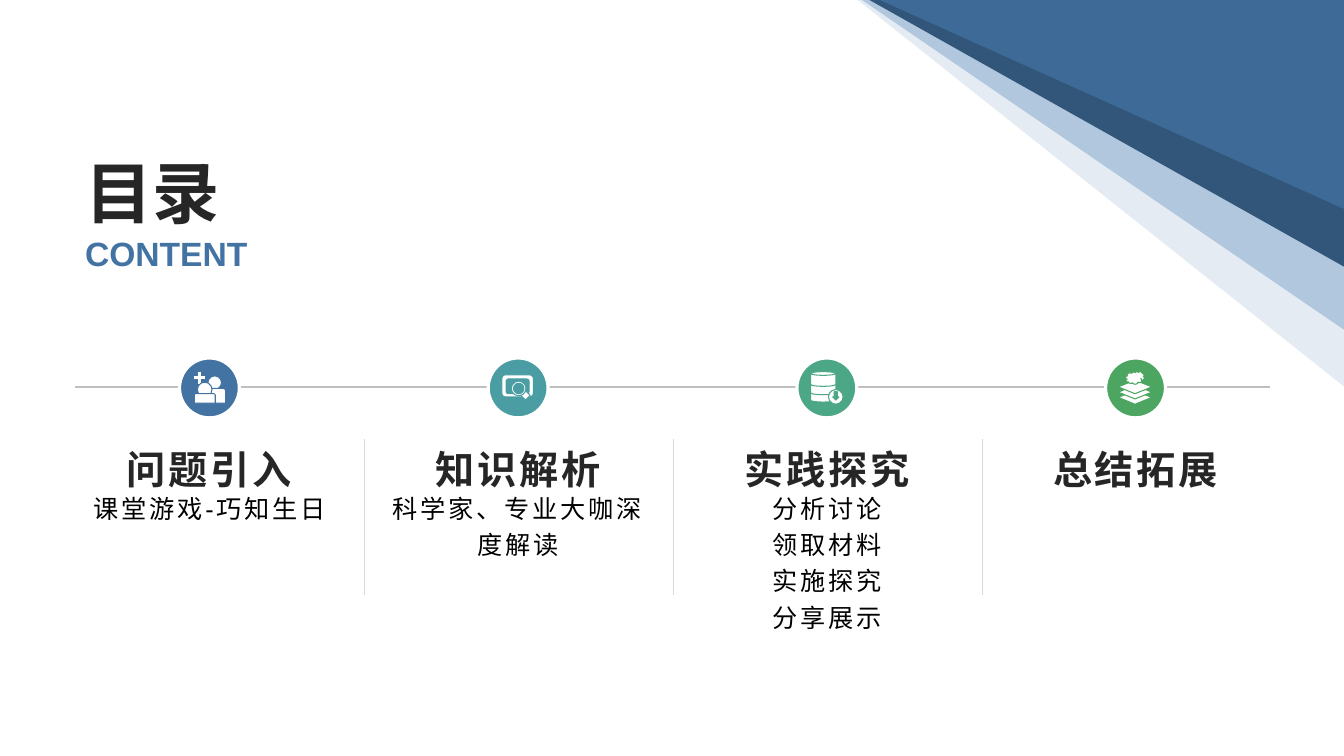
from lxml import etree
from pptx import Presentation
from pptx.dml.color import RGBColor
from pptx.enum.shapes import MSO_CONNECTOR, MSO_SHAPE
from pptx.enum.text import MSO_ANCHOR, MSO_AUTO_SIZE, PP_ALIGN
from pptx.oxml.ns import qn
from pptx.util import Pt

STRAIGHT = MSO_CONNECTOR.STRAIGHT
OVAL, CAN, DIAMOND, CLOUD = MSO_SHAPE.OVAL, MSO_SHAPE.CAN, MSO_SHAPE.DIAMOND, MSO_SHAPE.CLOUD
CROSS, ARROW = MSO_SHAPE.MATH_PLUS, MSO_SHAPE.DOWN_ARROW
BODY, PAGE = MSO_SHAPE.ROUND_2_SAME_RECTANGLE, MSO_SHAPE.ROUNDED_RECTANGLE
TOP, MIDDLE, BOTTOM = MSO_ANCHOR.TOP, MSO_ANCHOR.MIDDLE, MSO_ANCHOR.BOTTOM
LEFT, CENTER = PP_ALIGN.LEFT, PP_ALIGN.CENTER
NO_FIT = MSO_AUTO_SIZE.NONE

PX = 9525
WIDTH, HEIGHT = 1280, 720
PITCH = 294
AXIS_Y = 369
COMPARISON_LAYOUT = 4

COLORS = {
    "white": "FFFFFF", "black": "000000", "ink": "262626",
    "blue": "4373A3", "navy": "32567A", "sky": "B0C7DE",
    "teal": "4B9DA4", "jade": "4BA786", "green": "4CA560",
    "axis": "BFBFBF", "divider": "D9D9D9",
}

# Size, colour, bold, alignment, anchor, line spacing, tracking, top and bottom inset.
STYLES = {
    "title": (48, "ink", True, LEFT, BOTTOM, 1, 0, 5, 0),
    "subtitle": (24, "blue", True, LEFT, TOP, 1, 0, 0, 5),
    "heading": (28, "ink", True, CENTER, MIDDLE, 1.2, 200, 5, 0),
    "detail": (18, "black", False, CENTER, TOP, 1.2, 200, 0, 5),
}

# Preset, px offset from the circle's centre, size, and whether it is white.
ICONS = {
    "people": [
        (CROSS, -17, -17, 16, 16, True),
        (OVAL, -1, -11, 13, 13, True), (BODY, -2, 1, 18, 14, True),
        (OVAL, -11, -5, 14, 14, True), (BODY, -14, 6, 20, 9, True),
    ],
    "book": [
        (PAGE, -15, -12, 30, 21, True), (PAGE, -11, -8, 22, 14, False),
        (DIAMOND, 3, 3, 9, 9, True),
        (OVAL, -6, -6, 14, 14, True), (OVAL, -4, -4, 10, 10, False),
    ],
    "database": [
        *((CAN, -15, y, 24, 14, True) for y in (0, -7, -15)),
        (OVAL, 2, 2, 14, 14, True), (ARROW, 6, 4, 6, 8, False),
    ],
    "books": [
        *((DIAMOND, -16, y, 32, 13, True) for y in (3, -2, -7)),
        (CLOUD, -9, -15, 18, 12, True),
    ],
}

SECTIONS = [
    ("问题引入", ["课堂游戏-巧知生日"], "blue", "people"),
    ("知识解析", ["科学家、专业大咖深度解读"], "teal", "book"),
    ("实践探究", ["分析讨论", "领取材料", "实施探究", "分享展示"], "jade", "database"),
    ("总结拓展", [], "green", "books"),
]

# Left end on the top edge, depth on the right edge, colour, opacity.
CORNER_RAYS = [(817, 368, "sky", 34), (821, 314, "sky", 100),
               (828, 254, "navy", 100), (838, 199, "blue", 71)]


class SlideBuilder:
    def __init__(self, page, font):
        self.page, self.font = page, font

    def color(self, name):
        return RGBColor.from_string(COLORS[name])

    def paint(self, shape, fill):
        shape.shadow.inherit = False
        shape.fill.solid()
        shape.fill.fore_color.rgb = self.color(fill)

    def ray(self, start, depth, fill, opacity):
        """Triangle in the top right corner of the slide."""
        builder = self.page.shapes.build_freeform(start, 0, scale=PX)
        builder.add_line_segments([(WIDTH, 0), (WIDTH, depth)], close=True)
        shape = builder.convert_to_shape()
        self.paint(shape, fill)
        shape.line.fill.background()
        tint = shape.fill._xPr.find(".//" + qn("a:srgbClr"))
        etree.SubElement(tint, qn("a:alpha"), val=str(opacity * 1000))

    def preset(self, kind, area, fill, edge, edge_width):
        shape = self.page.shapes.add_shape(kind, *(value * PX for value in area))
        self.paint(shape, fill)
        shape.line.color.rgb = self.color(edge)
        shape.line.width = Pt(edge_width)

    def icon(self, name, center_x, center_y, color):
        for kind, x, y, width, height, is_white in ICONS[name]:
            self.preset(kind, (center_x + x, center_y + y, width, height),
                        "white" if is_white else color, color, 0.75)

    def line(self, x1, y1, x2, y2, color, width):
        connector = self.page.shapes.add_connector(
            STRAIGHT, x1 * PX, y1 * PX, x2 * PX, y2 * PX)
        connector.line.color.rgb = self.color(color)
        connector.line.width = Pt(width)
        etree.SubElement(connector._element.spPr, qn("a:effectLst"))

    def text(self, lines, area, style, box=None):
        """Write lines in a placeholder, or in a new text box if none is given."""
        size, color, bold, align, anchor, spacing, tracking, above, below = STYLES[style]
        left, top, width, height = (value * PX for value in area)
        if box is None:
            box = self.page.shapes.add_textbox(left, top, width, height)
        box.left, box.top, box.width, box.height = left, top, width, height
        frame = box.text_frame
        layout = dict(word_wrap=True, auto_size=NO_FIT, vertical_anchor=anchor,
                      margin_left=10 * PX, margin_right=10 * PX,
                      margin_top=above * PX, margin_bottom=below * PX)
        for name, value in layout.items():
            setattr(frame, name, value)
        for index, line in enumerate(lines):
            para = frame.add_paragraph() if index else frame.paragraphs[0]
            properties = para._p.get_or_add_pPr()
            properties.set("marL", "0")
            properties.set("indent", "0")
            etree.SubElement(properties, qn("a:buNone"))
            para.alignment, para.line_spacing = align, float(spacing)
            para.space_before = Pt(0)
            span = para.add_run()
            span.text = line
            span.font.color.rgb = self.color(color)
            for name, value in dict(name=self.font, size=Pt(size), bold=bold).items():
                setattr(span.font, name, value)
            if tracking:
                span._r.get_or_add_rPr().set("spc", str(tracking))


def main():
    deck = Presentation()
    deck.slide_width, deck.slide_height = WIDTH * PX, HEIGHT * PX
    page = deck.slides.add_slide(deck.slide_layouts[COMPARISON_LAYOUT])
    slide = SlideBuilder(page, "Arial")
    title, subtitle, *detail_boxes = list(page.placeholders)

    for ray in CORNER_RAYS:
        slide.ray(*ray)

    slide.text(["目录"], (71, 113, 236, 108), "title", title)
    slide.text(["CONTENT"], (71, 222, 202, 55), "subtitle", subtitle)
    slide.line(71, AXIS_Y, 1210, AXIS_Y, "axis", 1.5)

    for index, (heading, details, color, icon) in enumerate(SECTIONS):
        shift = index * PITCH
        slide.preset(OVAL, (171 + shift, 341, 57, 57), color, "white", 2.25)
        slide.icon(icon, 199 + shift, AXIS_Y, color)
        slide.text([heading], (58 + shift, 418, 283, 43), "heading")
        if details:
            slide.text(details, (58 + shift, 464, 283, 140), "detail",
                       detail_boxes[index])
        if index < len(SECTIONS) - 1:
            slide.line(347 + shift, 418, 347 + shift, 567, "divider", 0.25)

    deck.save("out.pptx")


if __name__ == "__main__":
    main()
